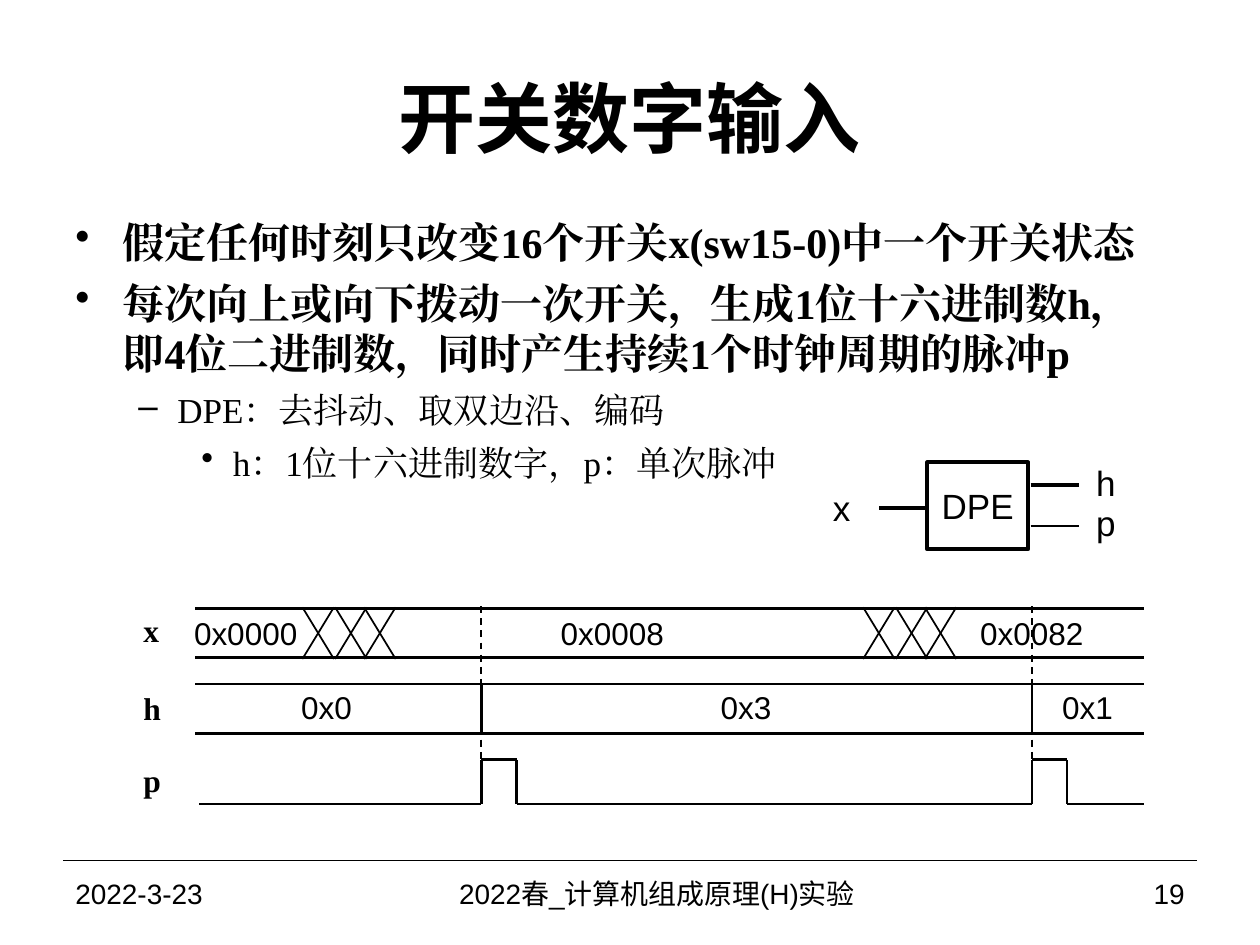
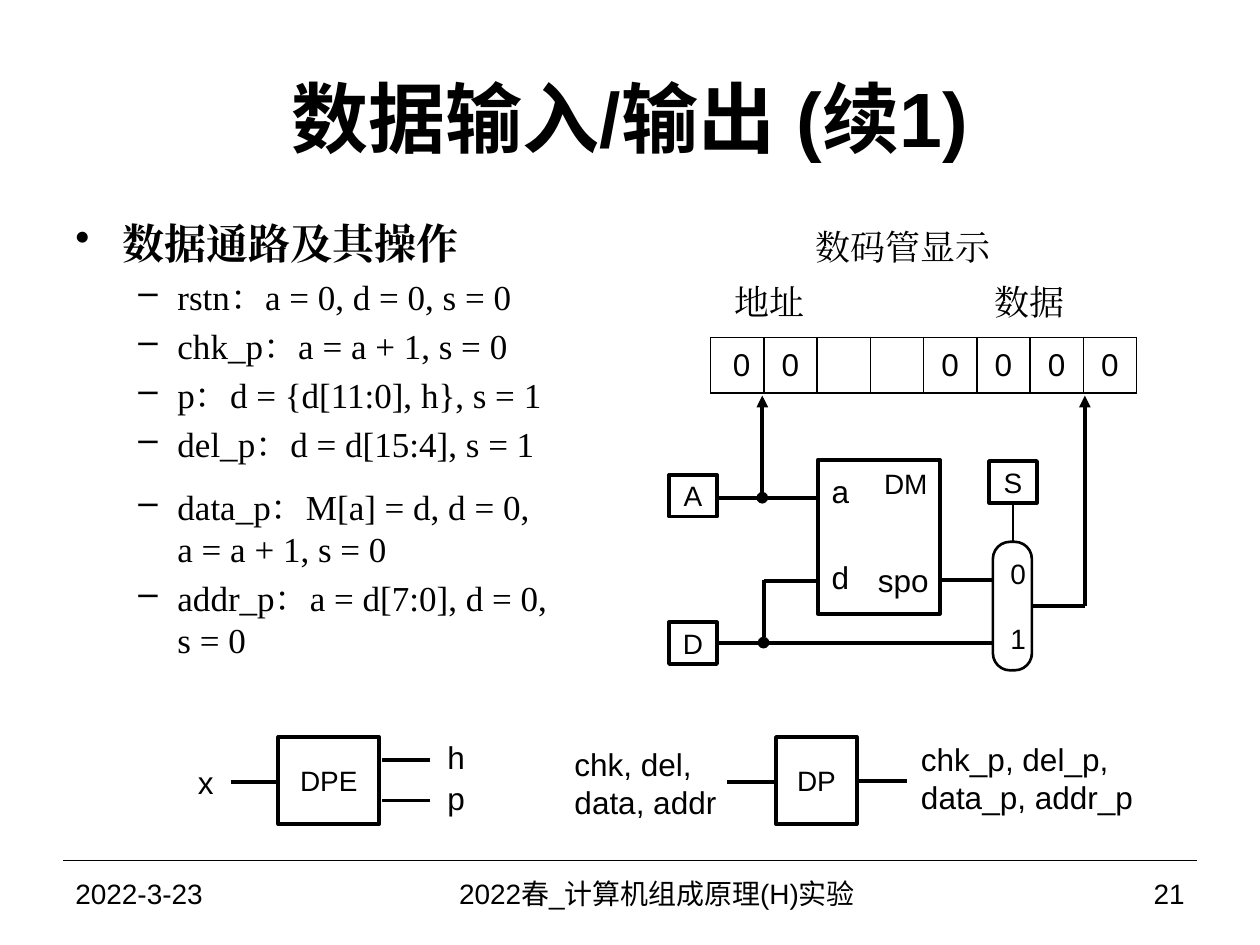
import dataclasses

import lxml.etree
import pptx
import pptx.dml.color
import pptx.enum.dml
import pptx.enum.shapes
import pptx.enum.text
import pptx.oxml.ns
import pptx.util

ALIGN = pptx.enum.text.PP_ALIGN
ANCHOR = pptx.enum.text.MSO_ANCHOR
SHAPE = pptx.enum.shapes.MSO_SHAPE
Pt = pptx.util.Pt

# The grid: 100 columns by 75 rows of equal square cells.
COLUMNS, ROWS = 100, 75
CELL = pptx.util.Inches(10) // COLUMNS


@dataclasses.dataclass(frozen=True)
class Theme:
    """Colours, fonts, type sizes and line weights shared by the slides."""
    ink: pptx.dml.color.RGBColor = pptx.dml.color.RGBColor(0, 0, 0)
    paper: pptx.dml.color.RGBColor = pptx.dml.color.RGBColor(255, 255, 255)
    sans: str = "Arial"
    serif: str = "Times New Roman"
    title: int = 44
    heading: int = 24
    body: int = 20
    label: int = 18
    small: int = 16
    hair: float = 0.75
    thin: float = 1
    medium: float = 1.5
    thick: float = 2.25


THEME = Theme()


@dataclasses.dataclass(frozen=True)
class Box:
    """A region measured in grid columns and rows."""
    left: float
    top: float
    width: float
    height: float

    def inner(self, left, top, width, height):
        """Return a box placed relative to this one."""
        return Box(self.left + left, self.top + top, width, height)

    def lengths(self):
        """Return the four lengths for a new shape."""
        return [grid(value) for value in (self.left, self.top, self.width, self.height)]


def grid(cells):
    """Turn grid cells into a length."""
    return pptx.util.Emu(round(cells * CELL))


def apply(target, formats):
    """Set each attribute named in a dict of format values."""
    for name, value in formats.items():
        setattr(target, name, value)


def add_element(parent, tag, **attributes):
    """Append a drawing element to an XML parent."""
    return lxml.etree.SubElement(parent, pptx.oxml.ns.qn(tag), attributes)


def write(paragraph, text, size, font=THEME.sans, bold=False, **formats):
    """Fill a paragraph with one styled run."""
    apply(paragraph, formats)
    run = paragraph.add_run()
    run.text = text
    run.font.color.rgb = THEME.ink
    apply(run.font, {"name": font, "size": Pt(size), "bold": bold})
    add_element(run._r.get_or_add_rPr(), "a:ea", typeface=font)


def add_text(slide, box, text, size, frame=None, **formats):
    """Add a text box with one paragraph and the usual insets."""
    shape = slide.shapes.add_textbox(*box.lengths())
    apply(shape.text_frame, {"word_wrap": True, **(frame or {})})
    write(shape.text_frame.paragraphs[0], text, size, **formats)


def no_insets(**frame):
    """Return text frame values without insets, centred in height."""
    return {"margin_left": 0, "margin_right": 0, "margin_top": 0, "margin_bottom": 0,
            "vertical_anchor": ANCHOR.MIDDLE, **frame}


def add_label(slide, box, text, size=THEME.label):
    """Add a short unwrapped label without insets."""
    add_text(slide, box, text, size, no_insets(word_wrap=False))


def add_outline(slide, box, kind=SHAPE.RECTANGLE, weight=THEME.thick):
    """Add an outlined white shape."""
    shape = slide.shapes.add_shape(kind, *box.lengths())
    shape.shadow.inherit = False
    shape.fill.solid()
    shape.fill.fore_color.rgb = THEME.paper
    shape.line.color.rgb = THEME.ink
    shape.line.width = Pt(weight)
    return shape


def add_block(slide, box, text, size=THEME.small):
    """Add a rectangle with a centred name."""
    frame = add_outline(slide, box).text_frame
    apply(frame, no_insets(word_wrap=True))
    write(frame.paragraphs[0], text, size, alignment=ALIGN.CENTER)


def add_line(slide, box, start, end, weight=THEME.thick, dashed=False, head=None, tail=None):
    """Draw a straight line between two points of the box."""
    ends = [grid(value) for x, y in (start, end) for value in (box.left + x, box.top + y)]
    connector = slide.shapes.add_connector(pptx.enum.shapes.MSO_CONNECTOR.STRAIGHT, *ends)
    connector.line.color.rgb = THEME.ink
    connector.line.width = Pt(weight)
    if dashed:
        connector.line.dash_style = pptx.enum.dml.MSO_LINE.DASH
    for tag, kind in (("a:headEnd", head), ("a:tailEnd", tail)):
        if kind:
            add_element(connector.line._get_or_add_ln(), tag, type=kind)
    add_element(connector._element.spPr, "a:effectLst")


def add_base(presentation, title, number):
    """Add a slide with its title, footer rule and footer texts."""
    slide = presentation.slides.add_slide(presentation.slide_layouts[6])
    middle = {"vertical_anchor": ANCHOR.MIDDLE}
    add_text(slide, Box(5, 3, 90, 12.5), title, THEME.title, middle,
             bold=True, alignment=ALIGN.CENTER)
    footer = Box(5, 68.3, 90, 5.2)
    add_line(slide, footer, (0, 0), (footer.width, 0), THEME.hair)
    for left, width, text, alignment in (
            (0, 23.3, "2022-3-23", ALIGN.LEFT),
            (23.3, 48.3, "2022春_计算机组成原理(H)实验 ", ALIGN.CENTER),
            (72.5, 17.5, number, ALIGN.RIGHT)):
        add_text(slide, footer.inner(left, 0, width, footer.height), text,
                 THEME.small, middle, alignment=alignment)
    return slide


def add_bullets(slide, box, items):
    """Add a bulleted list of (level, space before, text) items."""
    levels = (("•", 3.75, 3.75, THEME.heading), ("–", 8.1, 3.1, THEME.body),
              ("•", 12.5, 2.5, THEME.body))
    frame = slide.shapes.add_textbox(*box.lengths()).text_frame
    frame.word_wrap = True
    for index, (level, space, text) in enumerate(items):
        mark, margin, hanging, size = levels[level]
        paragraph = frame.add_paragraph() if index else frame.paragraphs[0]
        write(paragraph, text, size, THEME.serif, level == 0,
              level=level, space_before=Pt(space))
        properties = paragraph._p.get_or_add_pPr()
        properties.set("marL", str(grid(margin)))
        properties.set("indent", str(-grid(hanging)))
        add_element(properties, "a:buChar", char=mark)


def add_dpe(slide, box, label_size, block_size):
    """Draw the DPE block: input x at the left edge, outputs h and p at the right."""
    body = box.inner(box.width - 15, 0, 8, 6.9)
    add_block(slide, body, "DPE", block_size)
    add_line(slide, body, (-3.8, 3.6), (0, 3.6))
    add_label(slide, box.inner(0, 2.1, 1.4, 3), "x", label_size)
    for text, y, line_y, weight in (("h", 0.1, 1.8, THEME.thick), ("p", 3.3, 5.05, THEME.medium)):
        add_line(slide, body, (8.2, line_y), (12, line_y), weight)
        add_label(slide, body.inner(13.4, y, 1.6, 3), text, label_size)


def add_dp(slide, box):
    """Draw the DP block between its input and output signal names."""
    add_block(slide, box.inner(17.5, 0, 6.4, 6.9), "DP")
    for start, end, y in ((13.6, 17.5, 3.6), (24.1, 27.9, 3.5)):
        add_line(slide, box, (start, y), (end, y))
    for left, top, width, inset, text in ((0, 0.6, 14.3, 1.5, "chk, del, data, addr"),
                                          (26.4, 0.2, 22, 2.6, "chk_p, del_p, data_p, addr_p")):
        add_text(slide, box.inner(left, top, width, 6.1), text, THEME.label,
                 no_insets(margin_left=grid(inset)))


def add_waveforms(slide, box):
    """Draw the timing of x, h and p, with their names at the left edge."""
    wave = box.inner(5.1, 0, box.width - 5.1, box.height)
    high, low, pulse = 12.2, 15.7, 2.8
    edges = (22.7, 66.4)
    for text, y in (("x", -0.1), ("h", 6.1), ("p", 11.8)):
        add_text(slide, box.inner(0, y, 3.3, 4), text, THEME.label,
                 {"word_wrap": False}, font=THEME.serif, bold=True)
    for y in (0.2, 4.1, 6.2, 10.1):
        add_line(slide, wave, (0, y), (wave.width, y), THEME.medium)
    for edge in edges:
        add_line(slide, wave, (edge, 0), (edge, 15.4), THEME.thin, dashed=True)
        add_line(slide, wave, (edge, 6.2), (edge, 10.1), THEME.medium)
        add_line(slide, wave, (edge, high), (edge + pulse, high), THEME.medium)
        for x in (edge, edge + pulse):
            add_line(slide, wave, (x, high), (x, low), THEME.medium)
    starts = (0.3, *(edge + pulse for edge in edges))
    for start, end in zip(starts, (*edges, wave.width)):
        add_line(slide, wave, (start, low), (end, low), THEME.medium)
    for bounce in (8.5, 53):
        for x in (bounce, bounce + 2.6, bounce + 4.9):
            add_line(slide, wave, (x, 0.1), (x + 2.5, 4.2), THEME.thin)
            add_line(slide, wave, (x, 4.2), (x + 2.5, 0.1), THEME.thin)
    for y, width, values in (
            (0.6, 8.3, ((-0.1, "0x0000"), (29, "0x0008"), (62.3, "0x0082"))),
            (6.5, 4.1, ((8.4, "0x0"), (41.7, "0x3"), (68.8, "0x1")))):
        for x, text in values:
            add_label(slide, wave.inner(x, y, width, 3), text)


def add_digits(slide, box):
    """Draw the row of display digits as a table under its captions."""
    for left, top, width, text in ((5.4, 0, 19.8, "数码管显示"), (-0.1, 4.4, 9.5, "地址"),
                                   (20.8, 4.4, 9, "数据")):
        add_text(slide, box.inner(left, top, width, 4.4), text, THEME.body,
                 font=THEME.serif, alignment=ALIGN.CENTER)
    digits = (" 0", "0", "", "", "0", "0", "0", "0")
    row = box.inner(0, 9.4, box.width, 4.4)
    table = slide.shapes.add_table(1, len(digits), *row.lengths()).table
    apply(table, {"first_row": False, "horz_banding": False})
    for column, digit in enumerate(digits):
        table.columns[column].width = grid(row.width / len(digits))
        cell = table.cell(0, column)
        apply(cell, no_insets())
        if digit:
            write(cell.text_frame.paragraphs[0], digit, THEME.label, alignment=ALIGN.CENTER)
        properties = cell._tc.get_or_add_tcPr()
        for side in ("a:lnL", "a:lnR", "a:lnT", "a:lnB"):
            border = add_element(properties, side, w=str(Pt(THEME.thin)))
            add_element(add_element(border, "a:solidFill"), "a:srgbClr", val=str(THEME.ink))
        cell.fill.solid()
        cell.fill.fore_color.rgb = THEME.paper


def add_datapath(slide, box):
    """Draw registers A, D and S, memory DM and the output selector."""
    memory = add_outline(slide, box.inner(11.8, 5.1, 9.7, 12.2)).text_frame
    apply(memory, {"word_wrap": True, "vertical_anchor": ANCHOR.TOP})
    write(memory.paragraphs[0], "DM", THEME.small, alignment=ALIGN.RIGHT)
    for text, y in (("a", 6.1), ("d", 12.9)):
        add_label(slide, box.inner(12.9, y, 1.4, 3), text)
    add_text(slide, box.inner(15.5, 11.6, 6.1, 4.6), "spo", THEME.label,
             {"word_wrap": False}, alignment=ALIGN.RIGHT, line_spacing=Pt(29))
    for text, x, y in (("A", 0, 6.3), ("D", 0, 18), ("S", 25.4, 5.2)):
        add_block(slide, box.inner(x, y, 3.8, 3.3), text)
    for start, end in (((3.8, 8.1), (11.8, 8.1)), ((3.8, 19.6), (25.7, 19.6)),
                       ((7.5, 14.7), (11.8, 14.7)), ((21.5, 14.6), (25.7, 14.6)),
                       ((28.8, 16.7), (33, 16.7))):
        add_line(slide, box, start, end)
    add_line(slide, box, (27.3, 8.5), (27.3, 11.6), THEME.medium)
    add_line(slide, box, (7.4, 8.1), (7.4, 0), head="oval", tail="triangle")
    add_line(slide, box, (7.5, 19.6), (7.5, 14.6), head="oval")
    add_line(slide, box, (33, 16.7), (33, 0), tail="triangle")
    selector = add_outline(slide, box.inner(25.7, 11.6, 3.1, 10.2),
                           SHAPE.ROUNDED_RECTANGLE, THEME.medium)
    selector.adjustments[0] = 0.44
    frame = selector.text_frame
    apply(frame, {"word_wrap": True, "vertical_anchor": ANCHOR.MIDDLE})
    for paragraph, text, space in ((frame.paragraphs[0], "0", 6), (frame.add_paragraph(), "1", 12)):
        write(paragraph, text, THEME.small, alignment=ALIGN.CENTER,
              space_before=Pt(space), space_after=Pt(6))


def build_switch_slide(presentation):
    """Build the slide on switch input with its timing diagram."""
    slide = add_base(presentation, "开关数字输入", "19")
    add_bullets(slide, Box(5, 16.7, 88.6, 24.8), (
        (0, 6, "假定任何时刻只改变16个开关x(sw15-0)中一个开关状态"),
        (0, 6, "每次向上或向下拨动一次开关，生成1位十六进制数h，即4位二进制数，同时产生持续1个时钟周期的脉冲p"),
        (1, 6, "DPE：去抖动、取双边沿、编码"),
        (2, 6, "h：1位十六进制数字，p：单次脉冲")))
    add_dpe(slide, Box(66.1, 36.7, 22.5, 6.9), THEME.body, THEME.body)
    add_waveforms(slide, Box(10.4, 48.1, 80.4, 15.8))


def build_data_slide(presentation):
    """Build the slide on data input and output with its datapath."""
    slide = add_base(presentation, "数据输入/输出 (续1)", "21")
    add_bullets(slide, Box(5, 16.8, 39.8, 39.6), (
        (0, 4.8, "数据通路及其操作"),
        (1, 4, "rstn：a = 0, d = 0, s = 0"),
        (1, 4, "chk_p：a = a + 1, s = 0"),
        (1, 4, "p：d = {d[11:0], h}, s = 1"),
        (1, 4, "del_p：d = d[15:4], s = 1"),
        (1, 12, "data_p：M[a] = d, d = 0, a = a + 1, s = 0"),
        (1, 4, "addr_p：a = d[7:0], d = 0, s = 0")))
    add_digits(slide, Box(56.4, 17.4, 33.8, 13.8))
    add_datapath(slide, Box(53.1, 31.4, 33, 21.8))
    add_dpe(slide, Box(15.7, 58.5, 21.4, 6.9), THEME.label, THEME.small)
    add_dp(slide, Box(44.1, 58.5, 48.4, 6.9))


presentation = pptx.Presentation()
apply(presentation, {"slide_width": grid(COLUMNS), "slide_height": grid(ROWS)})
build_switch_slide(presentation)
build_data_slide(presentation)
presentation.save("out.pptx")
